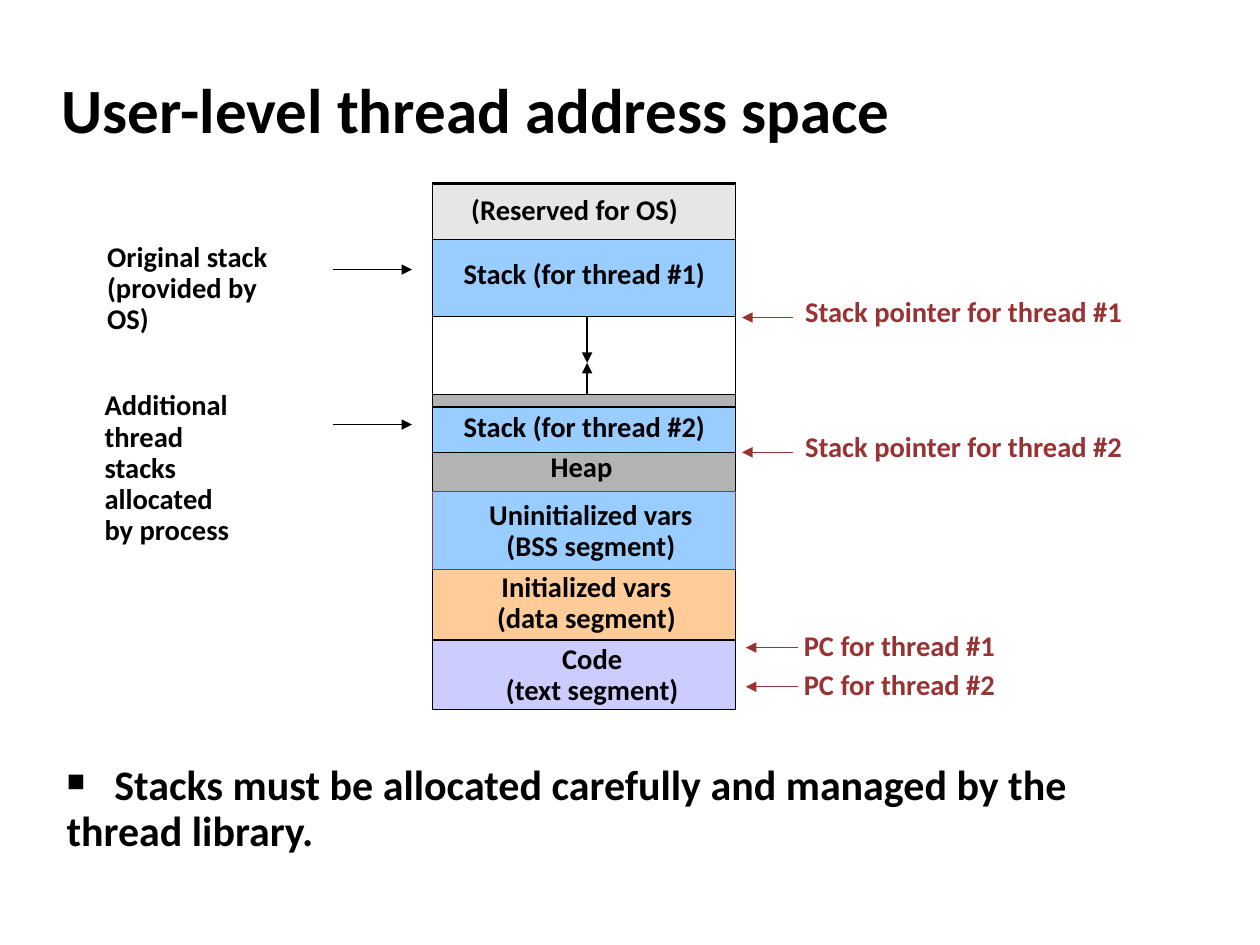
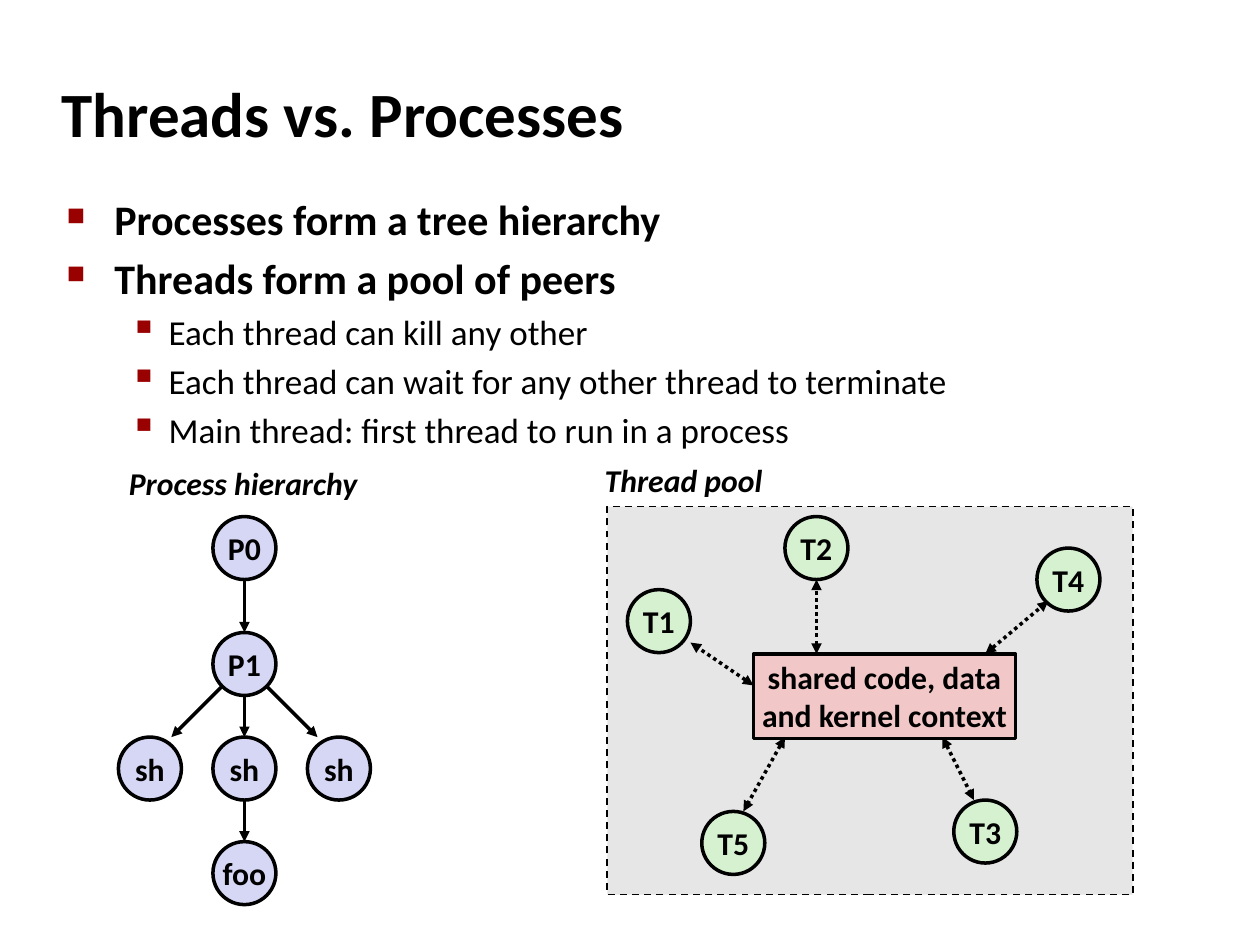
from lxml import etree
from pptx import Presentation
from pptx import util as u
from pptx.dml.color import RGBColor
from pptx.enum import dml, shapes, text
from pptx.oxml import ns

FONT = "Calibri"
COLORS = {
    "black": "000000", "maroon": "993333", "bullet": "990000",
    "reserved": "E6E6E6", "stack": "99CCFF", "heap": "B3B3B3",
    "data": "FFCC99", "code": "CCCCFF", "pool": "E6E6E6",
    "process": "D6D6F5", "thread": "D5F1CF", "shared": "F1C7C7",
}
TITLE_BOX = (0.39, 0.48, 8.3, 0.83)
LABEL_SIZE = 16.3
DIAGRAM_SIZE = 18.1
NODE = 0.5
STACK_LEFT, STACK_WIDTH = 3.43, 2.41


def rgb(name):
    return RGBColor.from_string(COLORS[name])


def style_font(paragraph, size, color="black", bold=True, italic=False):
    font = paragraph.font
    font.name, font.size = FONT, u.Pt(size)
    font.bold, font.italic = bold, italic
    font.color.rgb = rgb(color)


def add_lines(frame, lines, size, color="black", align=text.PP_ALIGN.LEFT,
              spacing=None, italic=False):
    for index, line in enumerate(lines):
        paragraph = frame.paragraphs[0] if index == 0 else frame.add_paragraph()
        paragraph.text = line
        paragraph.alignment = align
        if spacing:
            paragraph.line_spacing = spacing if index == 0 else 0.9
        style_font(paragraph, size, color, italic=italic)


def add_text_frame(slide, box, wrap=True, inset=True):
    frame = slide.shapes.add_textbox(*map(u.Inches, box)).text_frame
    frame.word_wrap = wrap
    if not inset:
        frame.margin_left = frame.margin_right = 0
        frame.margin_top = frame.margin_bottom = 0
    return frame


def add_title(slide, title, spacing=None):
    frame = add_text_frame(slide, TITLE_BOX)
    frame.vertical_anchor = text.MSO_ANCHOR.MIDDLE
    add_lines(frame, [title], 36, spacing=spacing)


def set_bullet(paragraph, char, color, percent, margin, hanging):
    properties = paragraph._p.get_or_add_pPr()
    properties.set("marL", str(u.Inches(margin)))
    properties.set("indent", str(-u.Inches(hanging)))
    bullet_color = etree.SubElement(properties, ns.qn("a:buClr"))
    etree.SubElement(bullet_color, ns.qn("a:srgbClr"), val=COLORS[color])
    etree.SubElement(properties, ns.qn("a:buSzPct"), val=str(percent * 1000))
    etree.SubElement(properties, ns.qn("a:buChar"), char=char)


def add_body(slide, box, items, bullet_color):
    """Each item is (level, text); level None is a line without a bullet."""
    frame = add_text_frame(slide, box)
    for index, (level, line) in enumerate(items):
        paragraph = frame.paragraphs[0] if index == 0 else frame.add_paragraph()
        paragraph.text = line
        size = 20 if level == 1 else 24
        if level == 0:
            set_bullet(paragraph, "■", bullet_color, 60, 0.38, 0.38)
        elif level == 1:
            paragraph.level = 1
            set_bullet(paragraph, "▪", bullet_color, 110, 0.81, 0.31)
        if index and level is not None:
            paragraph.space_before = u.Pt(size * 0.2)
        style_font(paragraph, size, bold=level != 1)
    return frame


def add_label(slide, box, lines, color="black", align=text.PP_ALIGN.LEFT):
    frame = add_text_frame(slide, box, wrap=False, inset=False)
    add_lines(frame, lines, LABEL_SIZE, color, align, spacing=0.93)


def add_block(slide, box, fill=None, line="black", width=0.75, dash=None,
              kind=shapes.MSO_SHAPE.RECTANGLE, lines=()):
    shape = slide.shapes.add_shape(kind, *map(u.Inches, box))
    shape.shadow.inherit = False
    if fill:
        shape.fill.solid()
        shape.fill.fore_color.rgb = rgb(fill)
    else:
        shape.fill.background()
    shape.line.color.rgb = rgb(line)
    shape.line.width = u.Pt(width)
    if dash:
        shape.line.dash_style = dash
    if lines:
        frame = shape.text_frame
        frame.word_wrap = False
        frame.vertical_anchor = text.MSO_ANCHOR.MIDDLE
        add_lines(frame, lines, DIAGRAM_SIZE, align=text.PP_ALIGN.CENTER)


def add_node(slide, left, top, name, fill):
    add_block(slide, (left, top, NODE, NODE), fill, width=2,
              kind=shapes.MSO_SHAPE.OVAL, lines=[name])


def add_arrow(slide, start, end, color="black", width=0.75, both_ways=False):
    """Two-way arrows are dotted."""
    arrow = slide.shapes.add_connector(
        shapes.MSO_CONNECTOR.STRAIGHT, *map(u.Inches, (*start, *end)))
    arrow.line.color.rgb = rgb(color)
    arrow.line.width = u.Pt(width)
    if both_ways:
        arrow.line.dash_style = dml.MSO_LINE.ROUND_DOT
    line = arrow.line._get_or_add_ln()
    for tag in ("a:headEnd", "a:tailEnd") if both_ways else ("a:tailEnd",):
        etree.SubElement(line, ns.qn(tag), type="triangle")
    etree.SubElement(arrow._element.spPr, ns.qn("a:effectLst"))


def add_address_space(slide):
    center = text.PP_ALIGN.CENTER
    segments = [  # top, height, fill, outline
        (1.45, 4.18, None, "black"),
        (1.9, 0.61, "stack", "black"),
        (5.08, 0.55, "code", "black"),
        (4.52, 0.56, "data", "black"),
        (3.13, 0.79, "heap", "black"),
        (3.9, 0.62, "stack", "maroon"),
        (1.46, 0.44, "reserved", "black"),
        (3.23, 0.36, "stack", "black"),
    ]
    add_arrow(slide, (4.66, 3.19), (4.66, 2.88))
    for top, height, fill, line in segments:
        add_block(slide, (STACK_LEFT, top, STACK_WIDTH, height), fill, line)
    add_arrow(slide, (4.66, 2.52), (4.66, 2.88))

    add_label(slide, (3.74, 1.55, 1.9, 0.26), ["(Reserved for OS)"])
    add_label(slide, (3.68, 2.06, 2.07, 0.26), ["Stack (for thread #1)"])
    add_label(slide, (3.68, 3.27, 2.07, 0.26), ["Stack (for thread #2)"])
    add_label(slide, (4.37, 3.59, 0.58, 0.26), ["Heap"])
    add_label(slide, (3.73, 3.97, 1.92, 0.53),
              ["Uninitialized vars", "(BSS segment)"], align=center)
    add_label(slide, (3.84, 4.54, 1.63, 0.53),
              ["Initialized vars", "(data segment)"], align=center)
    add_label(slide, (3.91, 5.11, 1.58, 0.53),
              ["Code", "(text segment)"], align=center)


def add_pointers(slide):
    for thread, label_top, arrow_y in ((1, 2.36, 2.52), (2, 3.43, 3.59)):
        add_label(slide, (6.39, label_top, 2.67, 0.26),
                  [f"Stack pointer for thread #{thread}"], "maroon")
        add_arrow(slide, (6.29, arrow_y), (5.89, arrow_y), "maroon")
    for thread, label_top in ((1, 5.01), (2, 5.32)):
        arrow_y = label_top + 0.13
        add_label(slide, (6.38, label_top, 1.84, 0.31),
                  [f"PC for thread #{thread}"], "maroon")
        add_arrow(slide, (6.33, arrow_y), (5.92, arrow_y), "maroon")


def add_stack_notes(slide):
    add_label(slide, (0.85, 1.92, 1.31, 0.51),
              ["Original stack", "(provided by OS)"])
    add_label(slide, (0.83, 3.1, 1.33, 0.77),
              ["Additional thread", "stacks allocated", "by process"])
    for y in (2.14, 3.37):
        add_arrow(slide, (2.64, y), (3.27, y))


def add_caption(slide, box, caption):
    frame = add_text_frame(slide, box, wrap=False)
    frame.vertical_anchor = text.MSO_ANCHOR.MIDDLE
    add_lines(frame, [caption], DIAGRAM_SIZE, align=text.PP_ALIGN.CENTER,
              italic=True)


def add_process_tree(slide):
    add_caption(slide, (0.91, 3.63, 2.04, 0.41), "Process hierarchy")
    trunk_left = 1.69
    trunk_x = trunk_left + NODE / 2
    trunk = [("P0", 4.1), ("P1", 5.02), ("sh", 5.85), ("foo", 6.68)]
    for name, top in trunk:
        add_node(slide, trunk_left, top, name, "process")
    for (_, parent_top), (_, child_top) in zip(trunk, trunk[1:]):
        add_arrow(slide, (trunk_x, parent_top + NODE), (trunk_x, child_top),
                  width=2)
    for side in (-1, 1):
        add_node(slide, trunk_left + side * 0.75, 5.85, "sh", "process")
        add_arrow(slide, (trunk_x + side * 0.17, 5.44),
                  (trunk_x + side * 0.58, 5.85), width=2)


def add_thread_pool(slide):
    add_caption(slide, (4.69, 3.6, 1.47, 0.41), "Thread pool")
    add_block(slide, (5.98, 5.19, 2.08, 0.67), "shared", width=2,
              lines=["shared code, data", "and kernel context"])
    threads = [  # name, left, top, arrow start at shared block, arrow end
        ("T1", 4.98, 4.68, (5.98, 5.44), (5.48, 5.1)),
        ("T2", 6.23, 4.1, (6.48, 5.19), (6.48, 4.6)),
        ("T3", 7.57, 6.35, (7.48, 5.85), (7.73, 6.35)),
        ("T4", 8.23, 4.35, (7.82, 5.19), (8.32, 4.77)),
        ("T5", 5.57, 6.44, (6.23, 5.85), (5.9, 6.44)),
    ]
    for name, left, top, start, end in threads:
        add_node(slide, left, top, name, "thread")
        add_arrow(slide, start, end, width=2, both_ways=True)


def build_address_space_slide(slide):
    add_title(slide, "User-level thread address space", spacing=0.93)
    body = add_body(slide, (0.43, 6.01, 8.64, 0.92), [
        (0, "Stacks must be allocated carefully and managed by the"),
        (None, "thread library."),
    ], "black")
    for paragraph, spacing in zip(body.paragraphs, (0.93, 0.9)):
        paragraph.line_spacing = spacing
    add_address_space(slide)
    add_pointers(slide)
    add_stack_notes(slide)


def build_comparison_slide(slide):
    add_block(slide, (4.82, 4.02, 4.17, 3.08), "pool", width=1,
              dash=dml.MSO_LINE.DASH)
    add_title(slide, "Threads vs. Processes")
    add_body(slide, (0.43, 1.49, 8.64, 5.44), [
        (0, "Processes form a tree hierarchy"),
        (0, "Threads form a pool of peers"),
        (1, "Each thread can kill any other"),
        (1, "Each thread can wait for any other thread to terminate"),
        (1, "Main thread: first thread to run in a process"),
    ], "bullet")
    add_process_tree(slide)
    add_thread_pool(slide)


def main():
    presentation = Presentation()
    presentation.slide_width = u.Inches(10)
    presentation.slide_height = u.Inches(7.5)
    blank = presentation.slide_layouts[6]
    for build in (build_address_space_slide, build_comparison_slide):
        build(presentation.slides.add_slide(blank))
    presentation.save("out.pptx")


if __name__ == "__main__":
    main()
